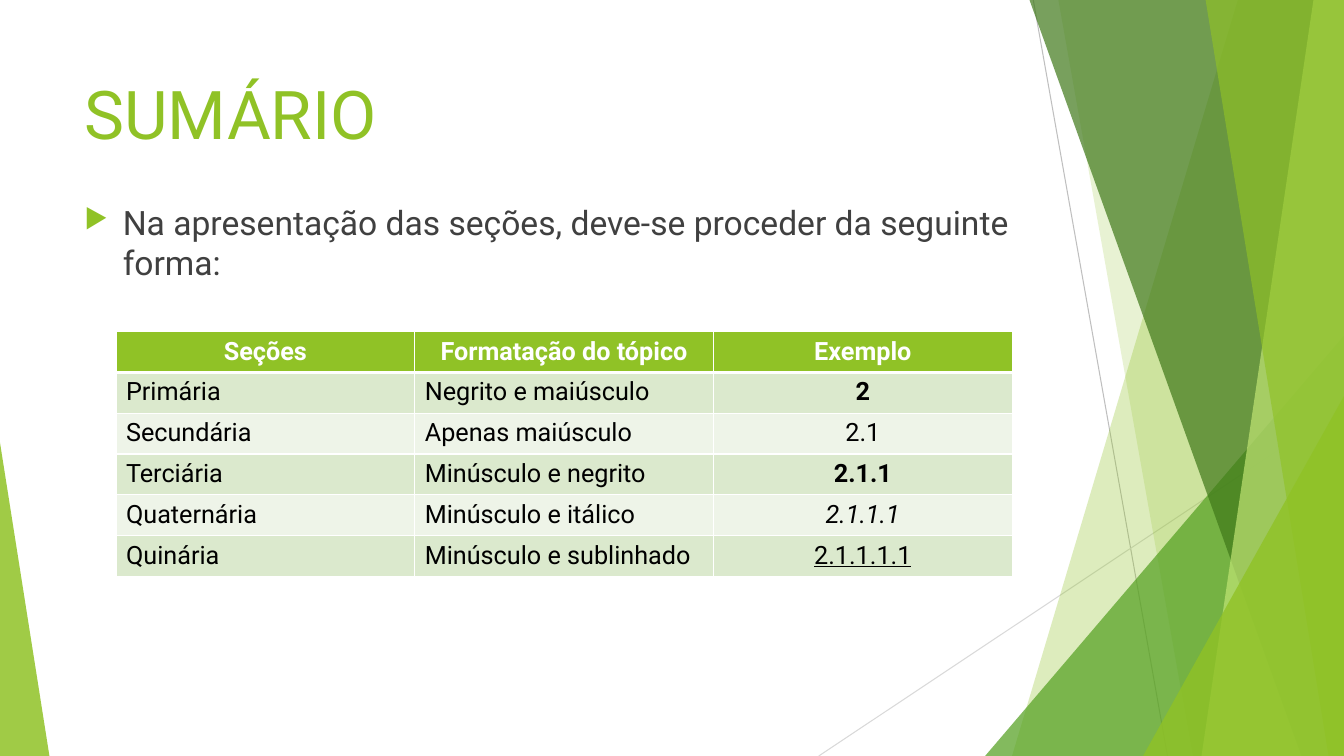
from dataclasses import dataclass

from lxml import etree
from pptx import Presentation
from pptx.dml.color import RGBColor
from pptx.enum.shapes import MSO_CONNECTOR, MSO_SHAPE
from pptx.enum.text import PP_ALIGN
from pptx.oxml.ns import qn
from pptx.util import Inches, Pt

STRAIGHT = MSO_CONNECTOR.STRAIGHT
TRIANGLE = MSO_SHAPE.ISOSCELES_TRIANGLE
CENTER, LEFT = PP_ALIGN.CENTER, PP_ALIGN.LEFT


@dataclass(frozen=True)
class Theme:
    font: str = "Roboto"
    lime: str = "90C226"
    green: str = "54A021"
    forest: str = "3F7819"
    pale_lime: str = "C0E474"
    gray: str = "BFBFBF"
    light_gray: str = "D9D9D9"
    body_ink: str = "404040"
    cell_ink: str = "000000"
    white: str = "FFFFFF"
    bands: tuple = ("DBE9CD", "EEF4E8")
    title_size: int = 48
    body_size: int = 24
    cell_size: int = 18


class Deck:
    """Draws elements on one slide, with lengths in percent of its size."""

    def __init__(self, theme):
        self.theme = theme
        self.prs = Presentation()
        self.prs.slide_width, self.prs.slide_height = Inches(13.33), Inches(7.5)
        self.slide = self.prs.slides.add_slide(self.prs.slide_layouts[6])
        self.shapes = self.slide.shapes

    def x(self, share):
        return round(self.prs.slide_width * share / 100)

    def y(self, share):
        return round(self.prs.slide_height * share / 100)

    def box(self, left, top, width, height):
        return self.x(left), self.y(top), self.x(width), self.y(height)

    def hairline(self, start, end, color):
        line = self.shapes.add_connector(
            STRAIGHT, self.x(start[0]), self.y(start[1]), self.x(end[0]), self.y(end[1]))
        line.line.color.rgb = RGBColor.from_string(color)
        line.line.width = Pt(0.75)
        etree.SubElement(line._element.spPr, qn("a:effectLst"))

    def tint(self, shape, color, opacity):
        shape.shadow.inherit = False
        shape.fill.solid()
        shape.fill.fore_color.rgb = RGBColor.from_string(color)
        shape.line.fill.background()
        rgb = shape._element.spPr.find(".//" + qn("a:srgbClr"))
        etree.SubElement(rgb, qn("a:alpha"), val=str(opacity * 1000))

    def ribbon(self, top_left, bottom_left, color, opacity):
        right, bottom = self.x(100), self.y(100)
        outline = self.shapes.build_freeform(self.x(top_left), 0)
        outline.add_line_segments(
            [(right, 0), (right, bottom), (self.x(bottom_left), bottom)], close=True)
        self.tint(outline.convert_to_shape(), color, opacity)

    def corner(self, left, top, width, peak, color, opacity):
        shape = self.shapes.add_shape(TRIANGLE, *self.box(left, top, width, 100 - top))
        shape.adjustments[0] = peak
        self.tint(shape, color, opacity)

    def style(self, paragraph, size, color, bold=False, italic=False, underline=False):
        for run in paragraph.runs:
            font = run.font
            font.name, font.size = self.theme.font, Pt(size)
            font.color.rgb = RGBColor.from_string(color)
            font.bold, font.italic, font.underline = bold, italic, underline

    def text(self, content, area, size, color):
        frame = self.shapes.add_textbox(*self.box(*area)).text_frame
        frame.word_wrap = True
        frame.text = content
        paragraph = frame.paragraphs[0]
        self.style(paragraph, size, color)
        return paragraph

    def bullet(self, content, area, size, color):
        paragraph = self.text(content, area, size, color)
        paragraph.space_before = Pt(10)
        props = paragraph._p.get_or_add_pPr()
        props.set("marL", str(Inches(0.38)))
        props.set("indent", str(-Inches(0.38)))
        marker_color = etree.SubElement(props, qn("a:buClr"))
        etree.SubElement(marker_color, qn("a:srgbClr"), val=self.theme.lime)
        etree.SubElement(props, qn("a:buSzPct"), val="80000")
        etree.SubElement(props, qn("a:buChar"), char="▶")

    def borders(self, cell, top, bottom):
        props = cell._tc.get_or_add_tcPr()
        for place, (side, width) in enumerate(
                (("lnL", 1), ("lnR", 1), ("lnT", top), ("lnB", bottom))):
            edge = etree.Element(qn("a:" + side), w=str(Pt(width)))
            fill = etree.SubElement(edge, qn("a:solidFill"))
            etree.SubElement(fill, qn("a:srgbClr"), val=self.theme.white)
            props.insert(place, edge)

    def table(self, header, rows, area):
        theme = self.theme
        lines = [(header, {"bold": True})] + rows
        grid = self.shapes.add_table(len(lines), len(header), *self.box(*area)).table
        for r, (values, emphasis) in enumerate(lines):
            for c, value in enumerate(values):
                cell = grid.cell(r, c)
                heading, example = r == 0, c == len(header) - 1
                cell.text = value
                paragraph = cell.text_frame.paragraphs[0]
                paragraph.alignment = CENTER if heading or example else LEFT
                self.style(paragraph, theme.cell_size,
                           theme.white if heading else theme.cell_ink,
                           **(emphasis if heading or example else {}))
                cell.fill.solid()
                cell.fill.fore_color.rgb = RGBColor.from_string(
                    theme.lime if heading else theme.bands[(r - 1) % 2])
                self.borders(cell, 3 if r == 1 else 1, 3 if heading else 1)


def main():
    theme = Theme()
    deck = Deck(theme)

    deck.hairline((76.88, 0), (86.87, 100), theme.gray)
    deck.hairline((100, 53.73), (60.92, 100), theme.light_gray)
    deck.ribbon(92.1, 75.3, theme.lime, 30)
    deck.ribbon(78.75, 88.75, theme.lime, 20)
    deck.corner(73.3, 44.4, 26.7, 1, theme.green, 72)
    deck.ribbon(76.6, 96.83, theme.forest, 70)
    deck.ribbon(97.73, 89.4, theme.pale_lime, 70)
    deck.ribbon(89.7, 98.85, theme.lime, 65)
    deck.corner(85.05, 52.4, 14.95, 1, theme.lime, 80)
    deck.corner(0, 58.53, 3.68, 0, theme.lime, 85)

    deck.text("SUMÁRIO", (5.55, 8.93, 70.5, 19.2), theme.title_size, theme.lime)
    deck.bullet("Na apresentação das seções, deve-se proceder da seguinte forma:",
                (5.55, 26, 70.5, 14.27), theme.body_size, theme.body_ink)
    deck.table(
        ("Seções", "Formatação do tópico", "Exemplo"),
        [
            (("Primária", "Negrito e maiúsculo", "2"), {"bold": True}),
            (("Secundária", "Apenas maiúsculo", "2.1"), {}),
            (("Terciária", "Minúsculo e negrito", "2.1.1"), {"bold": True}),
            (("Quaternária", "Minúsculo e itálico", "2.1.1.1"), {"italic": True}),
            (("Quinária", "Minúsculo e sublinhado", "2.1.1.1.1"), {"underline": True}),
        ],
        (8.63, 43.87, 66.69, 32.4))

    deck.prs.save("out.pptx")


if __name__ == "__main__":
    main()
